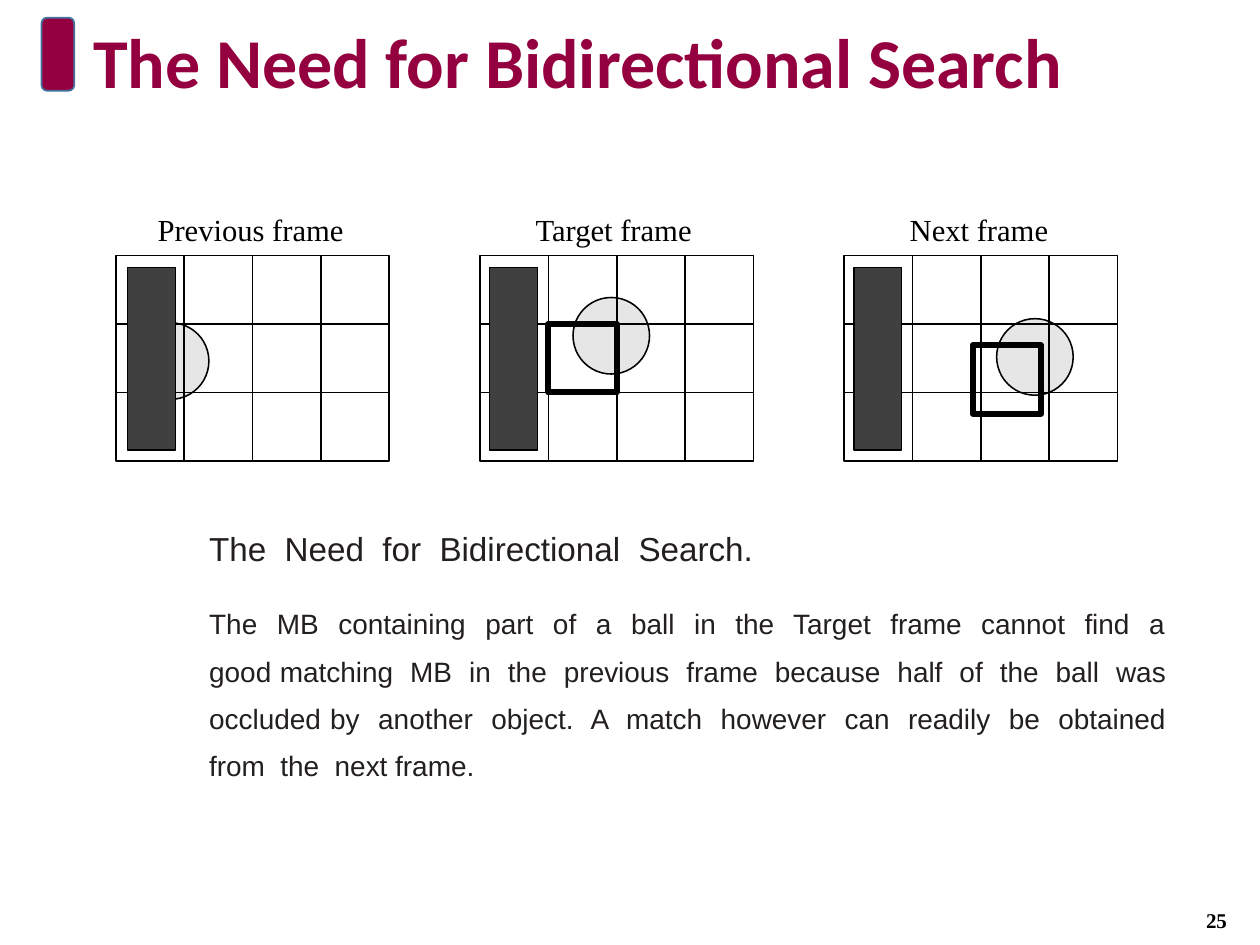
from dataclasses import dataclass
from typing import Optional

from lxml import etree
from pptx import Presentation
from pptx.dml.color import RGBColor
from pptx.enum.shapes import MSO_CONNECTOR, MSO_SHAPE
from pptx.enum.text import MSO_ANCHOR, PP_ALIGN
from pptx.oxml.ns import qn
from pptx.util import Inches, Pt

STRAIGHT = MSO_CONNECTOR.STRAIGHT
RECTANGLE, OVAL = MSO_SHAPE.RECTANGLE, MSO_SHAPE.OVAL
ROUNDED = MSO_SHAPE.ROUNDED_RECTANGLE

MAROON = RGBColor(0x94, 0x00, 0x3F)
STEEL_BLUE = RGBColor(0x43, 0x73, 0x9E)
BLACK = RGBColor(0x00, 0x00, 0x00)
BALL_GREY = RGBColor(0xE6, 0xE6, 0xE6)
OCCLUDER_GREY = RGBColor(0x40, 0x40, 0x40)
BODY_INK = RGBColor(0x23, 0x1F, 0x20)

COLUMNS, ROWS = 4, 3
FRAME_WIDTH, FRAME_PITCH = 2.17, 2.89
CELL = FRAME_WIDTH / COLUMNS
FIRST_LEFT, FRAME_TOP = 0.92, 2.03
LABEL_TOP, LABEL_HEIGHT = 1.67, 0.31
THIN, THICK = 0.88, 3.5

BALL_SIZE = 1.12
OCCLUDER_TOP, OCCLUDER_WIDTH, OCCLUDER_HEIGHT = 0.17, 0.7, 2.67


@dataclass(frozen=True)
class Box:
    left: float
    top: float
    width: float
    height: float

    def lengths(self) -> tuple:
        return tuple(Inches(v) for v in (self.left, self.top, self.width, self.height))


@dataclass(frozen=True)
class Frame:
    """A video frame; ball, occluder and macroblock are placed in grid cells."""
    label: str
    label_width: float
    ball: tuple[float, float]
    occluder_column: float
    macroblock: Optional[tuple[float, float]] = None


FRAMES = [
    Frame("Previous frame", 1.51, (0.24, 0.98), 0.17),
    Frame("Target frame", 1.29, (1.36, 0.61), 0.14, (1, 1)),
    Frame("Next frame", 1.13, (2.23, 0.92), 0.14, (1.88, 1.31)),
]

HEADING = "The  Need  for  Bidirectional  Search."
EXPLANATION = (
    "The  MB  containing  part  of  a  ball  in  the  Target  frame  cannot  find  a  "
    "good matching  MB  in  the  previous  frame  because  half  of  the  ball  was  "
    "occluded by  another  object.  A  match  however  can  readily  be  obtained  "
    "from  the  next frame."
)


def add_figure(slide, kind, box: Box, fill: Optional[RGBColor] = None,
               line: RGBColor = BLACK, weight: float = THIN) -> None:
    figure = slide.shapes.add_shape(kind, *box.lengths())
    figure.shadow.inherit = False
    if fill is None:
        figure.fill.background()
    else:
        figure.fill.solid()
        figure.fill.fore_color.rgb = fill
    figure.line.color.rgb = line
    figure.line.width = Pt(weight)


def add_grid_line(slide, x1: float, y1: float, x2: float, y2: float) -> None:
    rule = slide.shapes.add_connector(STRAIGHT, *(Inches(v) for v in (x1, y1, x2, y2)))
    rule.line.color.rgb = BLACK
    rule.line.width = Pt(THIN)
    etree.SubElement(rule._element.spPr, qn("a:effectLst"))


def add_text_frame(slide, box: Box, wrap: bool = True, inset: bool = True):
    text_frame = slide.shapes.add_textbox(*box.lengths()).text_frame
    text_frame.word_wrap = wrap
    if not inset:
        text_frame.margin_left = text_frame.margin_right = 0
        text_frame.margin_top = text_frame.margin_bottom = 0
    return text_frame


def style(paragraph, font_name: str, size: float, color: RGBColor, bold: bool = False) -> None:
    for run in paragraph.runs:
        run.font.name = font_name
        run.font.size = Pt(size)
        run.font.color.rgb = color
        run.font.bold = bold


def add_frame(slide, frame: Frame, left: float) -> None:
    def cells(column: float, row: float, width: float, height: float) -> Box:
        return Box(left + column * CELL, FRAME_TOP + row * CELL, width * CELL, height * CELL)

    right, bottom = left + FRAME_WIDTH, FRAME_TOP + ROWS * CELL
    add_figure(slide, OVAL, cells(*frame.ball, BALL_SIZE, BALL_SIZE), BALL_GREY)
    add_figure(slide, RECTANGLE, cells(0, 0, COLUMNS, ROWS))
    for row in range(1, ROWS):
        y = FRAME_TOP + row * CELL
        add_grid_line(slide, left, y, right, y)
    for column in range(1, COLUMNS):
        x = left + column * CELL
        add_grid_line(slide, x, FRAME_TOP, x, bottom)
    if frame.macroblock:
        add_figure(slide, RECTANGLE, cells(*frame.macroblock, 1, 1), weight=THICK)
    occluder = cells(frame.occluder_column, OCCLUDER_TOP, OCCLUDER_WIDTH, OCCLUDER_HEIGHT)
    add_figure(slide, RECTANGLE, occluder, OCCLUDER_GREY)

    label_left = left + (FRAME_WIDTH - frame.label_width) / 2
    label_box = Box(label_left, LABEL_TOP, frame.label_width, LABEL_HEIGHT)
    label = add_text_frame(slide, label_box, wrap=False, inset=False)
    label.text = frame.label
    style(label.paragraphs[0], "Times New Roman", 17.5, BLACK)


def add_title(slide) -> None:
    add_figure(slide, ROUNDED, Box(0.33, 0.14, 0.26, 0.58), MAROON, STEEL_BLUE, 1)
    title = add_text_frame(slide, Box(0.64, 0.17, 8.42, 1.25))
    title.text = "The Need for Bidirectional Search"
    title.paragraphs[0].line_spacing = 0.9
    style(title.paragraphs[0], "Calibri", 40, MAROON, bold=True)


def add_body(slide) -> None:
    body = add_text_frame(slide, Box(0.39, 4.19, 9.02, 2.09), inset=False)
    body.text = HEADING
    heading = body.paragraphs[0]
    explanation = body.add_paragraph()
    explanation.text = EXPLANATION
    explanation.alignment = PP_ALIGN.JUSTIFY
    explanation.line_spacing = 1.41
    explanation.space_before = Pt(14.4)
    for paragraph, size in ((heading, 19), (explanation, 16)):
        properties = paragraph._p.get_or_add_pPr()
        properties.set("marL", str(Inches(1.27)))
        properties.set("marR", str(Inches(0.08)))
        style(paragraph, "Arial", size, BODY_INK)


def add_page_number(slide) -> None:
    number = add_text_frame(slide, Box(9.23, 7.1, 0.85, 0.4))
    number.vertical_anchor = MSO_ANCHOR.MIDDLE
    number.text = "25"
    number.paragraphs[0].alignment = PP_ALIGN.CENTER
    style(number.paragraphs[0], "Times New Roman", 12, BLACK, bold=True)


def main() -> None:
    presentation = Presentation()
    presentation.slide_width, presentation.slide_height = Inches(10), Inches(7.5)
    slide = presentation.slides.add_slide(presentation.slide_layouts[6])
    add_title(slide)
    for index, frame in enumerate(FRAMES):
        add_frame(slide, frame, FIRST_LEFT + index * FRAME_PITCH)
    add_body(slide)
    add_page_number(slide)
    presentation.save("out.pptx")


if __name__ == "__main__":
    main()
